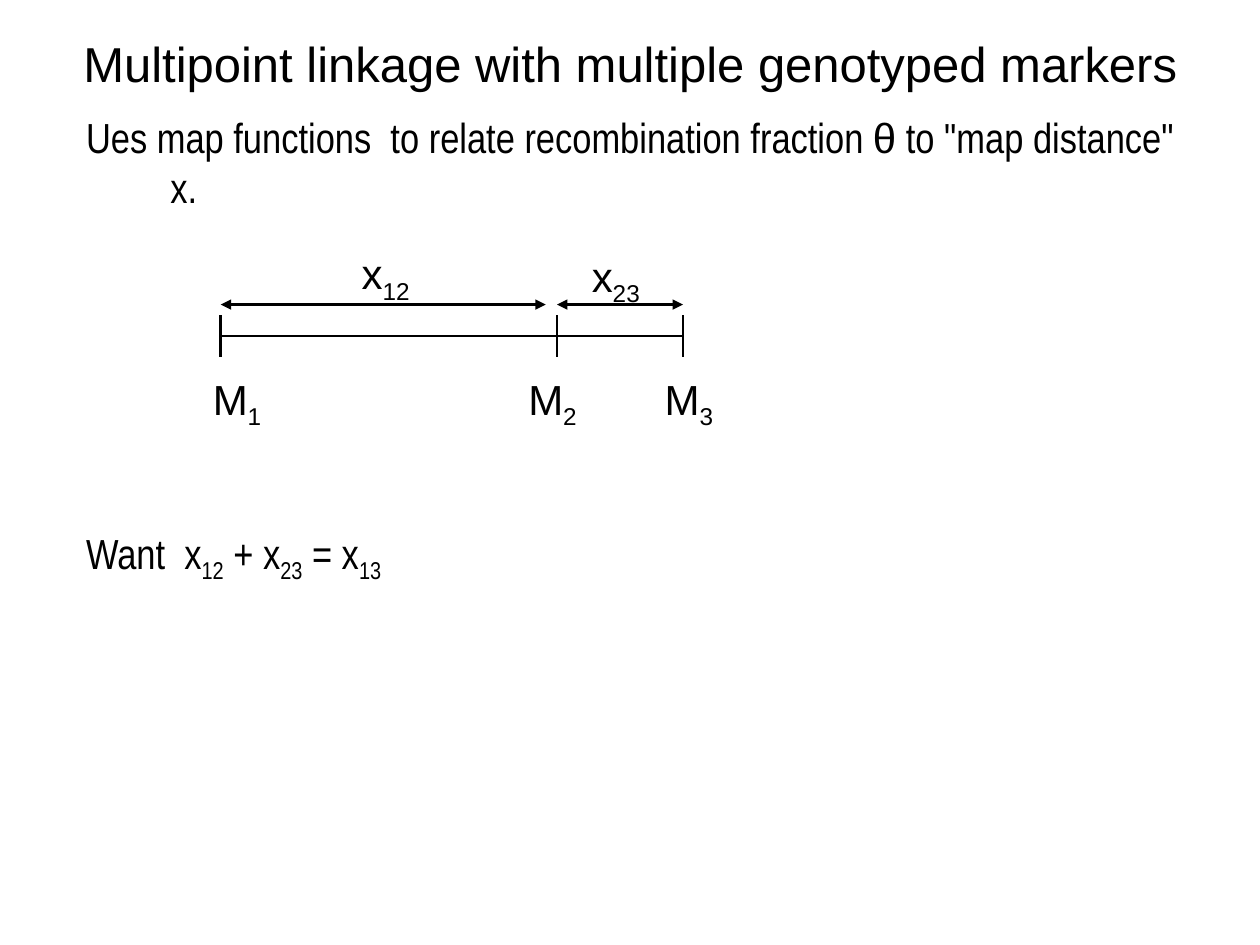
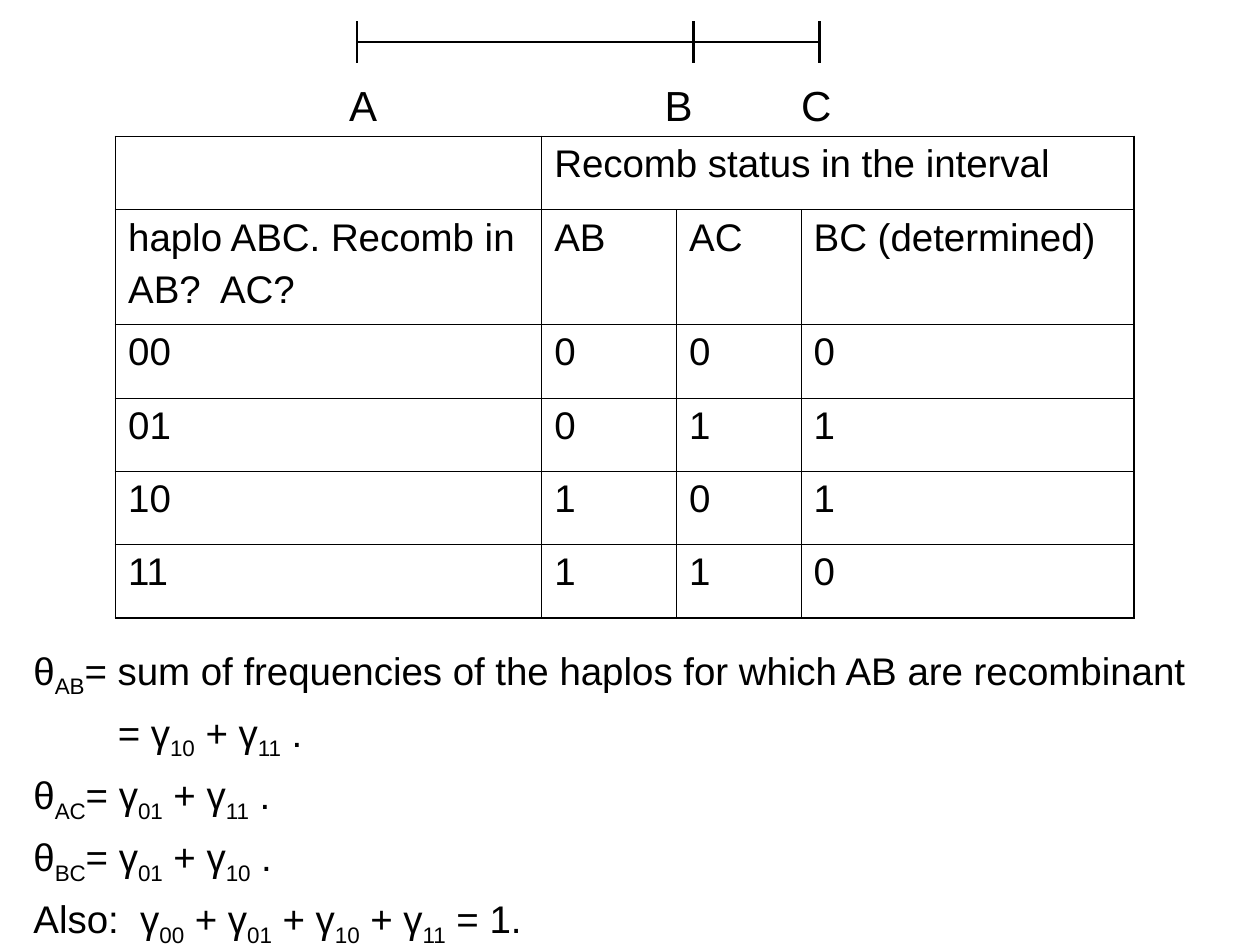
from pptx import Presentation
from pptx import util as u
from pptx.dml.color import RGBColor
from pptx.enum import shapes, text
from pptx.oxml.ns import qn
from lxml import etree

BLACK = RGBColor(0, 0, 0)
HANGING = u.Cm(1.7)
MARKER_OFFSETS = (0, 6.78, 9.32)
LABEL_SHIFTS = (-0.41, -0.83, -0.62)
SUBSCRIPT_LABEL_SIZE = (1.55, 1.42)
LETTER_LABEL_SIZE = (1.1, 1.27)


def write(para, words, size=24, font="Arial", before=0, left=0, indent=0):
    para.space_before = u.Pt(before)
    props = para._p.get_or_add_pPr()
    props.set("marL", str(left))
    props.set("indent", str(indent))
    if props.find(qn("a:buNone")) is None:
        etree.SubElement(props, qn("a:buNone"))
    for number, part in enumerate(words.split("|")):
        if not part:
            continue
        span = para.add_run()
        span.text = part
        span.font.size = u.Pt(size)
        span.font.name = font
        span.font.color.rgb = BLACK
        if number % 2:
            span._r.get_or_add_rPr().set("baseline", "-25000")


def draw_line(page, x1, y1, x2, y2, arrows=False):
    line = page.shapes.add_connector(
        shapes.MSO_CONNECTOR.STRAIGHT, u.Cm(x1), u.Cm(y1), u.Cm(x2), u.Cm(y2))
    line.line.color.rgb = BLACK
    line.line.width = u.Pt(1.5)
    if arrows:
        for end in ("a:headEnd", "a:tailEnd"):
            etree.SubElement(line.line._get_or_add_ln(), qn(end), type="triangle")
    etree.SubElement(line._element.spPr, qn("a:effectLst"))


deck = Presentation()
deck.slide_width, deck.slide_height = u.Cm(25.4), u.Cm(19.05)
content_layout = deck.slide_layouts[1]
map_page = deck.slides.add_slide(content_layout)
table_page = deck.slides.add_slide(content_layout)

title = map_page.shapes.title
title.left, title.top, title.width, title.height = u.Cm(1.06), u.Cm(0.64), u.Cm(23.28), u.Cm(1.27)
title.text_frame.vertical_anchor = text.MSO_ANCHOR.MIDDLE
title.text_frame.auto_size = text.MSO_AUTO_SIZE.NONE
heading = title.text_frame.paragraphs[0]
heading.alignment = text.PP_ALIGN.CENTER
write(heading, "Multipoint linkage with multiple genotyped markers", size=28)

unused_title = table_page.shapes.title._element
unused_title.getparent().remove(unused_title)

for page, left, top, width, height in (
    (map_page, 1.48, 2.12, 22.44, 2.75),
    (table_page, 0.42, 12.91, 24.34, 2.12),
):
    body = page.placeholders[1]
    body.left, body.top, body.width, body.height = u.Cm(left), u.Cm(top), u.Cm(width), u.Cm(height)
    body.text_frame.auto_size = text.MSO_AUTO_SIZE.NONE
    body.text_frame.vertical_anchor = text.MSO_ANCHOR.TOP

frame = map_page.placeholders[1].text_frame
intro = frame.paragraphs[0]
for words, font in (
    ("Ues map functions  to relate recombination fraction ", "Arial Narrow"),
    ("θ", "Arial"),
    (' to "map distance" x.', "Arial Narrow"),
):
    write(intro, words, font=font, before=6, left=HANGING, indent=-HANGING)
write(frame.add_paragraph(), "Want  x|12| + x|23| = x|13|", font="Arial Narrow",
      before=180, left=HANGING, indent=-HANGING)

frame = table_page.placeholders[1].text_frame
for number, (words, indent) in enumerate((
    ("θ|AB|= sum of frequencies of the haplos for which AB are recombinant", -HANGING),
    ("= γ|10| + γ|11| .", 0),
    ("θ|AC|= γ|01| + γ|11| .", -HANGING),
    ("θ|BC|= γ|01| + γ|10| .", -HANGING),
    ("Also:  γ|00| + γ|01| + γ|10| + γ|11| = 1.", -HANGING),
)):
    para = frame.add_paragraph() if number else frame.paragraphs[0]
    write(para, words, size=22, before=5.5, left=HANGING, indent=indent)

labels = []
for page, left, top, markers, label_size in (
    (map_page, 4.45, 6.77, ("M|1", "M|2", "M|3"), SUBSCRIPT_LABEL_SIZE),
    (table_page, 7.2, 0.85, ("A", "B", "C"), LETTER_LABEL_SIZE),
):
    draw_line(page, left, top, left + MARKER_OFFSETS[-1], top)
    for marker, offset, shift in zip(markers, MARKER_OFFSETS, LABEL_SHIFTS):
        x = left + offset
        draw_line(page, x, top - 0.42, x, top + 0.42)
        labels.append((page, marker, x + shift, top + 0.63, label_size))

for words, start, end, label_left, label_top in (
    ("x|12", 4.45, 11, 7.04, 4.87),
    ("x|23", 11.23, 13.77, 11.68, 4.92),
):
    draw_line(map_page, start, 6.14, end, 6.14, arrows=True)
    labels.append((map_page, words, label_left, label_top, SUBSCRIPT_LABEL_SIZE))

for page, words, left, top, (width, height) in labels:
    box = page.shapes.add_textbox(u.Cm(left), u.Cm(top), u.Cm(width), u.Cm(height))
    box.text_frame.word_wrap = False
    box.text_frame.auto_size = text.MSO_AUTO_SIZE.SHAPE_TO_FIT_TEXT
    write(box.text_frame.paragraphs[0], words)

rows = (
    ("", "Recomb status in the interval", "", ""),
    ("haplo ABC. Recomb in\nAB?  AC?", "AB", "AC", "BC (determined)"),
    ("00", "0", "0", "0"),
    ("01", "0", "1", "1"),
    ("10", "1", "0", "1"),
    ("11", "1", "1", "0"),
)
column_widths = (8.59, 2.72, 2.51, 6.71)
row_heights = (1.48, 2.31, 1.48, 1.48, 1.48, 1.48)
table = table_page.shapes.add_table(
    len(rows), len(column_widths), u.Cm(2.33), u.Cm(2.75),
    u.Cm(sum(column_widths)), u.Cm(sum(row_heights))).table
table.first_row = table.horz_banding = False
for column, width in zip(table.columns, column_widths):
    column.width = u.Cm(width)
for row, height in zip(table.rows, row_heights):
    row.height = u.Cm(height)
table.cell(0, 1).merge(table.cell(0, 3))

for r, row in enumerate(rows):
    for c, words in enumerate(row):
        cell = table.cell(r, c)
        for number, line in enumerate(words.split("\n") if words else ()):
            para = cell.text_frame.add_paragraph() if number else cell.text_frame.paragraphs[0]
            write(para, line, size=22, before=5.5)
        last_column = c == len(row) - 1 or cell.is_merge_origin
        outer_edges = {"a:lnL": c == 0, "a:lnR": last_column,
                       "a:lnT": r == 0, "a:lnB": r == len(rows) - 1}
        cell_props = cell._tc.get_or_add_tcPr()
        for edge, outer in outer_edges.items():
            border = etree.SubElement(cell_props, qn(edge), w=str(u.Pt(1.08 if outer else 0.45)))
            fill = etree.SubElement(border, qn("a:solidFill"))
            etree.SubElement(fill, qn("a:srgbClr"), val=str(BLACK))
        cell.fill.background()

deck.save("out.pptx")
